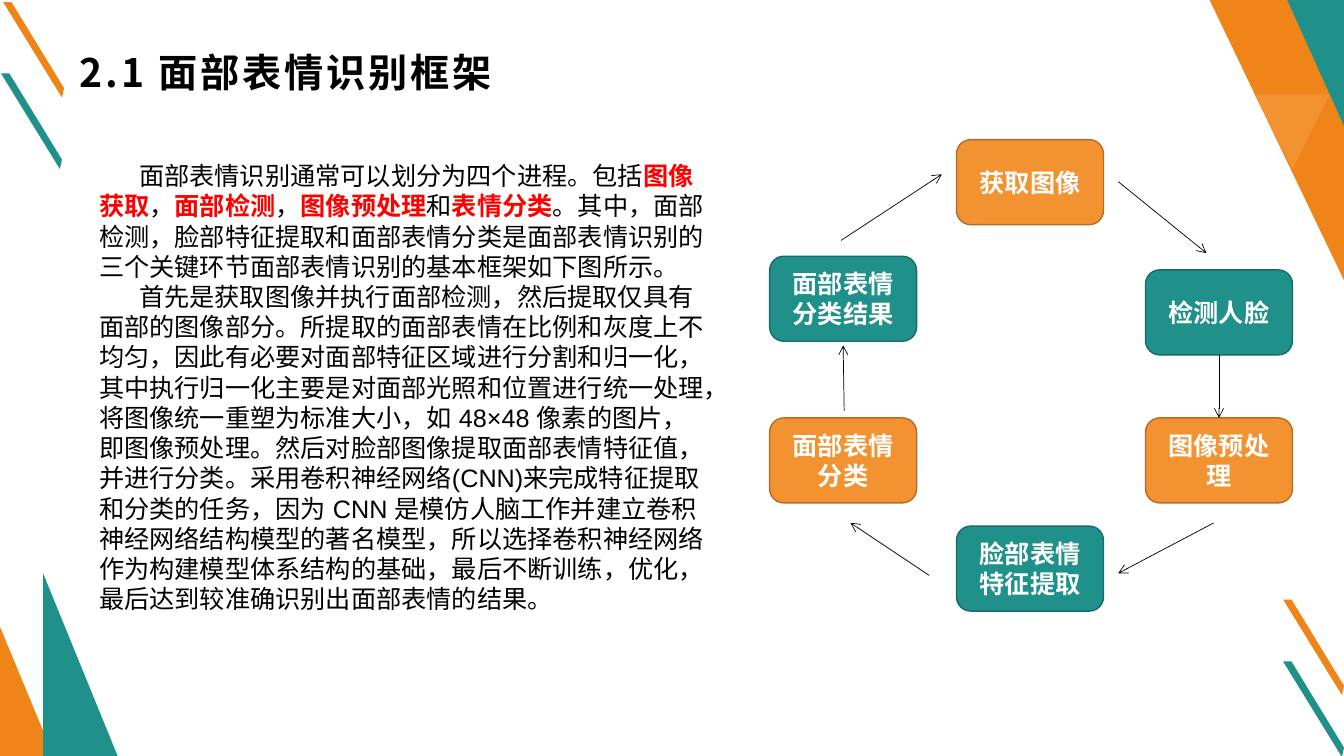
from dataclasses import dataclass

from lxml import etree
from pptx import Presentation, util as u
from pptx.dml.color import RGBColor
from pptx.enum import lang, shapes, text
from pptx.oxml.ns import qn

PX = 9525  # EMU in one px, 96 px to the inch


@dataclass(frozen=True)
class Theme:
    orange: str = "EF8519"
    light: str = "F39231"
    rust: str = "B46C24"
    teal: str = "20908A"
    pine: str = "186B66"
    black: str = "000000"
    white: str = "FFFFFF"
    red: str = "FF0000"
    head: str = "Noto Sans CJK SC"
    body: str = "Arial"
    big: int = 28
    base: int = 18


def px(*vals):
    return [u.Emu(val * PX) for val in vals]


def rgb(hue):
    return RGBColor.from_string(hue)


def write(para, words, *, size, color, face, bold=False, gap=0):
    """Add one formatted run to a paragraph."""
    run = para.add_run()
    run.text = words
    font = run.font
    font.size, font.bold, font.name = u.Pt(size), bold, face
    font.color.rgb = rgb(color)
    font.language_id = lang.MSO_LANGUAGE_ID.SIMPLIFIED_CHINESE
    props = run._r.get_or_add_rPr()
    etree.SubElement(props, qn("a:ea")).set("typeface", face)
    if gap:
        props.set("spc", str(gap * 100))


class Deck:
    def __init__(self, theme):
        self.theme = theme
        self.prs = Presentation()
        self.prs.slide_width, self.prs.slide_height = px(1280, 720)
        self.slide = self.prs.slides.add_slide(self.prs.slide_layouts[6])
        self.shapes = self.slide.shapes

    def paint(self, item, fill, line=None):
        item.shadow.inherit = False
        item.fill.solid()
        item.fill.fore_color.rgb = rgb(fill)
        if line:
            item.line.color.rgb = rgb(line)
            item.line.width = u.Pt(1)
        else:
            item.line.fill.background()

    def poly(self, points, fill):
        path = self.shapes.build_freeform(*points[0], scale=PX)
        path.add_line_segments(points[1:], close=True)
        self.paint(path.convert_to_shape(), fill)

    def wedge(self, box, fill):
        item = self.shapes.add_shape(
            shapes.MSO_SHAPE.ISOSCELES_TRIANGLE, *px(*box))
        item.adjustments[0] = 0
        self.paint(item, fill)

    def step(self, box, words, fill, line):
        item = self.shapes.add_shape(
            shapes.MSO_SHAPE.ROUNDED_RECTANGLE, *px(*box))
        self.paint(item, fill, line)
        frame = item.text_frame
        frame.word_wrap = True
        frame.vertical_anchor = text.MSO_ANCHOR.MIDDLE
        para = frame.paragraphs[0]
        para.alignment = text.PP_ALIGN.CENTER
        write(para, words, size=self.theme.base, color=self.theme.white,
              face=self.theme.body, bold=True)
        return item

    def arrow(self, start, end):
        line = self.shapes.add_connector(
            shapes.MSO_CONNECTOR.STRAIGHT, *px(*start, *end))
        line.line.color.rgb = rgb(self.theme.black)
        line.line.width = u.Pt(0.5)
        edge = line.line._get_or_add_ln()
        etree.SubElement(edge, qn("a:tailEnd")).set("type", "arrow")
        etree.SubElement(line._element.spPr, qn("a:effectLst"))
        return line

    def block(self, box, paras, indent=0, **style):
        """Add a text box; each paragraph is a list of (words, format)."""
        frame = self.shapes.add_textbox(*px(*box)).text_frame
        frame.word_wrap = True
        for num, runs in enumerate(paras):
            para = frame.add_paragraph() if num else frame.paragraphs[0]
            if indent:
                para._p.get_or_add_pPr().set("indent", str(indent * PX))
            for words, extra in runs:
                write(para, words, **{**style, **extra})
        return frame


def main():
    theme = Theme()
    deck = Deck(theme)

    # Slanted stripes
    for left, top, fill in [(1222, 571, theme.orange), (1, 70, theme.teal),
                            (3, 2, theme.orange), (1222, 630, theme.teal)]:
        deck.poly([(left + x, top + y) for x, y in
                   [(0, 0), (8, 0), (58, 82), (56, 91)]], fill)

    # Corner triangles
    deck.poly([(1152, 0), (1280, 0), (1280, 267)], theme.orange)
    deck.poly([(1226, 0), (1280, 0), (1280, 120)], theme.teal)
    deck.poly([(1266, 90), (1231, 161), (1195, 90)], theme.light)
    deck.wedge((0, 597, 51, 123), theme.orange)
    deck.wedge((41, 546, 71, 174), theme.teal)

    # Title
    title = deck.block((65, 42, 1149, 90), [[("2.1 面部表情识别框架", {})]],
                       size=theme.big, color=theme.black, face=theme.head,
                       bold=True, gap=2)
    title.margin_left, title.margin_right = px(11, 8)
    title.margin_top, title.margin_bottom = px(4, 4)

    # Cycle of steps, clockwise from the top
    looks = [(theme.light, theme.rust), (theme.teal, theme.pine)]
    steps = [(911, 133, "获取图像"), (1091, 257, "检测人脸"),
             (1091, 398, "图像预处理"), (911, 501, "脸部表情特征提取"),
             (733, 398, "面部表情分类"), (733, 244, "面部表情分类结果")]
    cards = [deck.step((left, top, 140, 81), words, *looks[num % 2])
             for num, (left, top, words) in enumerate(steps)]

    # Arrows between the steps
    for start, end in [((801, 229), (897, 166)), ((1065, 173), (1149, 241)),
                       ((1156, 498), (1065, 546)), ((885, 548), (810, 498)),
                       ((804, 391), (803, 329))]:
        deck.arrow(start, end)
    link = deck.arrow((1161, 338), (1161, 398))
    link.begin_connect(cards[1], 2)
    link.end_connect(cards[2], 0)

    # Body text
    key = dict(color=theme.red, bold=True)
    intro = [
        ("面部表情识别通常可以划分为四个进程。包括", {}), ("图像获取", key),
        ("，", {}), ("面部检测", key), ("，", {}), ("图像预处理", key),
        ("和", {}), ("表情分类", key),
        ("。其中，面部检测，脸部特征提取和面部表情分类是面部表情识别的"
         "三个关键环节面部表情识别的基本框架如下图所示。", {})]
    detail = [(
        "首先是获取图像并执行面部检测，然后提取仅具有面部的图像部分。"
        "所提取的面部表情在比例和灰度上不均匀，因此有必要对面部特征区域"
        "进行分割和归一化，其中执行归一化主要是对面部光照和位置进行统一处理，"
        "将图像统一重塑为标准大小，如 48×48 像素的图片，即图像预处理。"
        "然后对脸部图像提取面部表情特征值，并进行分类。"
        "采用卷积神经网络(CNN)来完成特征提取和分类的任务，"
        "因为 CNN 是模仿人脑工作并建立卷积神经网络结构模型的著名模型，"
        "所以选择卷积神经网络作为构建模型体系结构的基础，"
        "最后不断训练，优化，最后达到较准确识别出面部表情的结果。", {})]
    deck.block((85, 148, 599, 445), [intro, detail], indent=38,
               size=theme.base, color=theme.black, face=theme.body)

    deck.prs.save("out.pptx")


if __name__ == "__main__":
    main()
